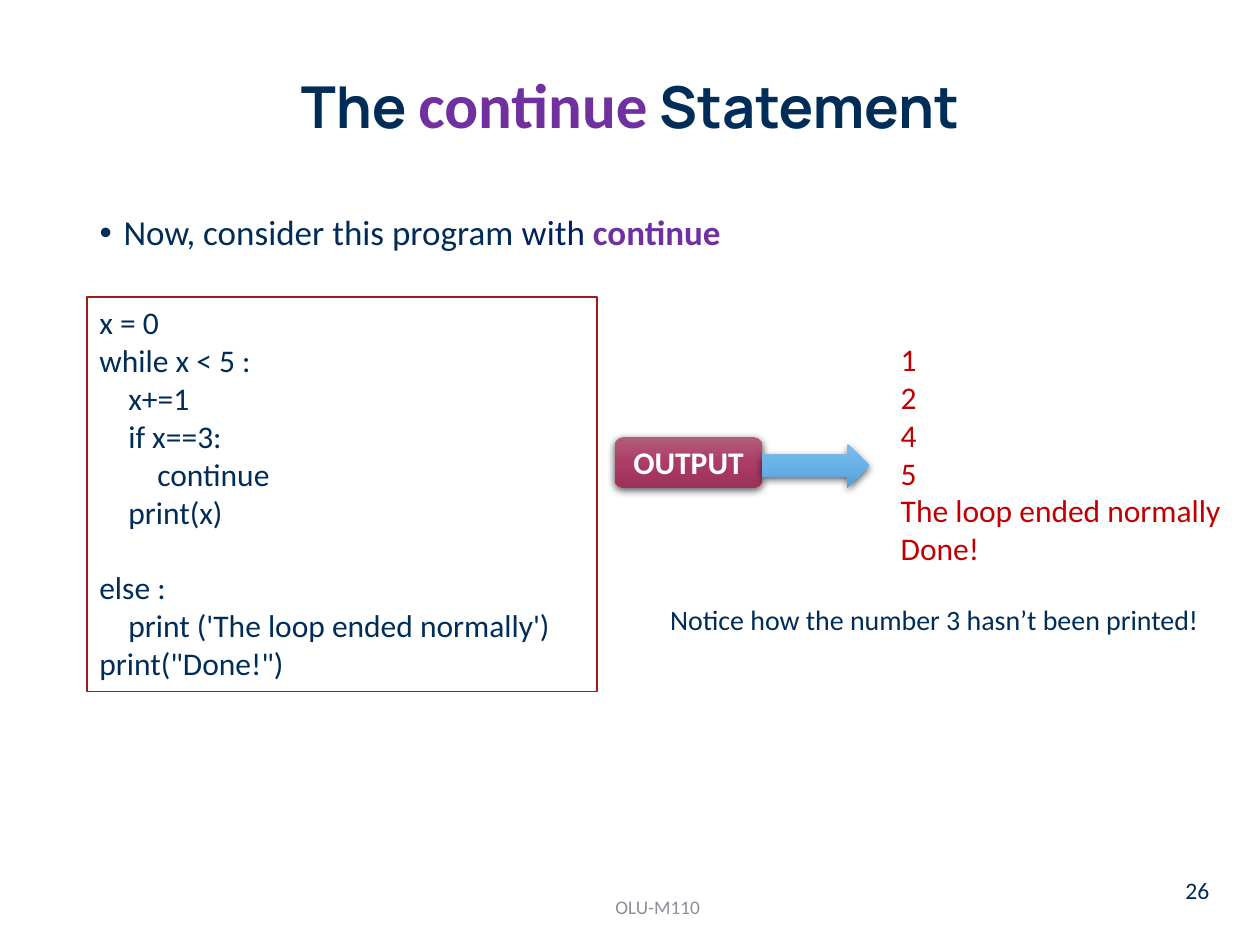
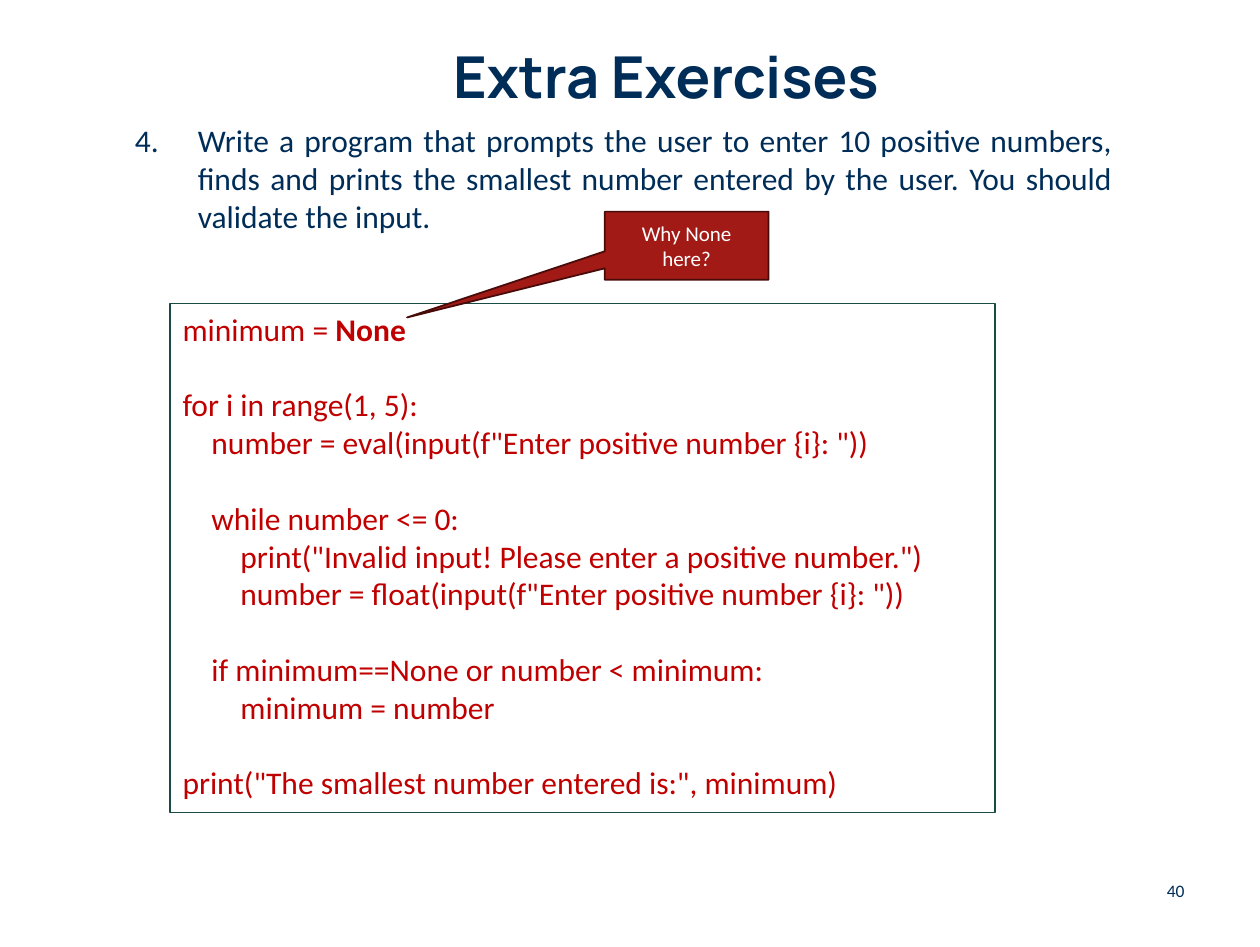
from dataclasses import dataclass

from lxml import etree
from pptx import Presentation
from pptx.dml.color import RGBColor
from pptx.enum import shapes, text
from pptx.oxml.ns import qn
from pptx.util import Emu, Inches, Pt


@dataclass(frozen=True)
class Theme:
    heading_font: str = "Manrope"
    body_font: str = "Calibri"
    white: str = "FFFFFF"
    navy: str = "002D58"
    deep_blue: str = "002060"
    purple: str = "7030A0"
    red: str = "C00000"
    brick: str = "A11A16"
    dark_brick: str = "470B0A"
    green: str = "194C44"
    grey: str = "8C8F9A"
    rose_gradient: tuple = ("B15E79", "AB3C66", "9C3159")
    sky_gradient: tuple = ("80BAE6", "67B2E8", "559FD5")
    title_size: float = 33
    keyword_size: float = 36
    lead_size: float = 20
    code_size: float = 18
    code_line: float = 21.6
    code_indent: float = 0.23
    note_size: float = 16
    callout_size: float = 12
    footer_size: float = 11


THEME = Theme()
ALIGN = text.PP_ALIGN
ANCHOR = text.MSO_ANCHOR
SHAPE = shapes.MSO_SHAPE

CONTINUE_CODE = """\
x = 0
while x < 5 :
    x+=1
    if x==3:
        continue
    print(x)

else :
    print ('The loop ended normally')
print("Done!")"""

MINIMUM_CODE = """\
minimum = **None**

for i in range(1, 5):
    number = eval(input(f"Enter positive number {i}: "))

    while number <= 0:
        print("Invalid input! Please enter a positive number.")
        number = float(input(f"Enter positive number {i}: "))

    if minimum==None or number < minimum:
        minimum = number

print("The smallest number entered is:", minimum)"""


# Text and shape helpers
def write(frame, paragraphs, size=THEME.code_size, color=THEME.navy,
          font=THEME.body_font, bold=False, align=ALIGN.LEFT,
          anchor=ANCHOR.TOP, spacing=1.0, before=0):
    """Fill a frame; a paragraph is a string or a list of (text, overrides)."""
    frame.word_wrap = True
    frame.auto_size = text.MSO_AUTO_SIZE.NONE
    frame.vertical_anchor = anchor
    for i, runs in enumerate(paragraphs):
        para = frame.paragraphs[0] if i == 0 else frame.add_paragraph()
        para.alignment = align
        para.line_spacing = spacing
        para.space_before = Pt(before)
        for words, overrides in ([(runs, {})] if isinstance(runs, str) else runs):
            style = dict(size=size, color=color, font=font, bold=bold) | overrides
            run = para.add_run()
            run.text = words
            run.font.size = Pt(style["size"])
            run.font.name = style["font"]
            run.font.bold = style["bold"]
            run.font.color.rgb = RGBColor.from_string(style["color"])
    return frame.paragraphs


def indent(para, left, hanging=0, bullet=None, **bullet_attributes):
    props = para._p.get_or_add_pPr()
    props.set("marL", str(Inches(left)))
    props.set("indent", str(-Inches(hanging)))
    if bullet:
        etree.SubElement(props, qn(bullet), bullet_attributes)


def place(part, box):
    part.left, part.top, part.width, part.height = map(Inches, box)
    return part


def label(slide, box, paragraphs, **style):
    frame = slide.shapes.add_textbox(*map(Inches, box)).text_frame
    return write(frame, paragraphs, **style)


def block(parent, kind, box, fill=None, line=None):
    shape = parent.shapes.add_shape(kind, *map(Inches, box))
    shape.shadow.inherit = False
    if fill:
        shape.fill.solid()
        shape.fill.fore_color.rgb = RGBColor.from_string(fill)
    if line:
        shape.line.color.rgb = RGBColor.from_string(line)
        shape.line.width = Pt(1)
    else:
        shape.line.fill.background()
    return shape


def glossy(shape, colors):
    """Vertical gradient with a soft shadow below."""
    shape.fill.gradient()
    shape.fill.gradient_angle = 270
    props = shape._element.spPr
    stops = props.find(qn("a:gradFill")).find(qn("a:gsLst"))
    for stop in list(stops):
        stops.remove(stop)
    for i, color in enumerate(colors):
        position = 100000 * i // (len(colors) - 1)
        stop = etree.SubElement(stops, qn("a:gs"), pos=str(position))
        etree.SubElement(stop, qn("a:srgbClr"), val=color)
    shadow = etree.SubElement(
        props.find(qn("a:effectLst")), qn("a:outerShdw"), blurRad=str(Pt(4.5)),
        dist=str(Pt(1.5)), dir="5400000", rotWithShape="0")
    black = etree.SubElement(shadow, qn("a:srgbClr"), val="000000")
    etree.SubElement(black, qn("a:alpha"), val="63000")


# Shared slide parts
def add_titled_slide(deck, box, runs, lift=0):
    slide = deck.slides.add_slide(deck.slide_layouts[1])
    frame = place(slide.shapes.title, box).text_frame
    frame.margin_bottom = Inches(0.05 + lift)
    write(frame, [runs], size=THEME.title_size, font=THEME.heading_font,
          bold=True, align=ALIGN.CENTER, anchor=ANCHOR.MIDDLE, spacing=0.9)
    return slide


def add_list_item(slide, box, runs, **style):
    body = place(slide.placeholders[1], box)
    return write(body.text_frame, [runs], **style)[0]


def add_code(slide, box, code, line, color=THEME.navy):
    """Framed listing: leading blanks become indents, empty lines spacing."""
    rows, levels, gaps, gap = [], [], [], 0
    for row in code.splitlines():
        if not row:
            gap += THEME.code_line
            continue
        words = row.lstrip()
        rows.append([(part, {"bold": i % 2 == 1})
                     for i, part in enumerate(words.split("**")) if part])
        levels.append((len(row) - len(words)) // 4)
        gaps.append(gap)
        gap = 0
    panel = block(slide, SHAPE.RECTANGLE, box, THEME.white, line)
    paragraphs = write(panel.text_frame, rows, color=color)
    for para, level, space in zip(paragraphs, levels, gaps):
        indent(para, level * THEME.code_indent)
        para.space_before = Pt(space)


def add_output_arrow(slide, box):
    left, top, width, height = box
    badge_width = 1.17
    group = slide.shapes.add_group_shape()
    badge = block(group, SHAPE.ROUNDED_RECTANGLE, (left, top, badge_width, height))
    glossy(badge, THEME.rose_gradient)
    write(badge.text_frame, ["OUTPUT"], color=THEME.white, bold=True,
          align=ALIGN.CENTER, anchor=ANCHOR.MIDDLE)
    arrow = block(group, SHAPE.RIGHT_ARROW,
                  (left + badge_width, top + 0.05, width - badge_width, height - 0.05))
    glossy(arrow, THEME.sky_gradient)


def add_callout(slide, box, words, tip):
    callout = block(slide, SHAPE.RECTANGULAR_CALLOUT, box,
                    THEME.brick, THEME.dark_brick)
    left, top, width, height = box
    callout.adjustments[0] = (tip[0] - left) / width - 0.5
    callout.adjustments[1] = (tip[1] - top) / height - 0.5
    write(callout.text_frame, [words], size=THEME.callout_size,
          color=THEME.white, align=ALIGN.CENTER, anchor=ANCHOR.MIDDLE)


# Slides
def continue_slide(deck):
    keyword = {"color": THEME.purple, "bold": True}
    slide = add_titled_slide(
        deck, (0.69, 0.4, 8.62, 1.45),
        [("The ", {}),
         ("continue", keyword | {"font": THEME.body_font, "size": THEME.keyword_size}),
         (" Statement", {})], lift=0.53)
    lead = add_list_item(
        slide, (0.69, 1.66, 6.08, 0.46),
        [("Now, consider this program ", {}),
         ("with ", {"color": THEME.deep_blue}), ("continue", keyword)],
        size=THEME.lead_size, spacing=0.9, before=7.5)
    indent(lead, 0.19, 0.19, "a:buChar", char="•")

    add_code(slide, (0.69, 2.36, 4.05, 3.13), CONTINUE_CODE, THEME.brick)
    add_output_arrow(slide, (4.88, 3.47, 2.02, 0.4))
    label(slide, (7.05, 2.65, 2.95, 1.92),
          ["1", "2", "4", "5", "The loop ended normally", "Done!"], color=THEME.red)
    label(slide, (5.22, 4.76, 4.69, 0.46),
          ["Notice how the number 3 hasn’t been printed!"],
          size=THEME.note_size, spacing=0.9, before=7.5)

    # Footer
    label(slide, (2.37, 7, 5.7, 0.4), ["OLU-M110"], size=THEME.footer_size,
          color=THEME.grey, align=ALIGN.CENTER, anchor=ANCHOR.MIDDLE)
    label(slide, (9.31, 6.9, 0.69, 0.4), ["26"], size=13.5)


def exercise_slide(deck):
    slide = add_titled_slide(deck, (1.07, 0.16, 8.43, 0.95), "Extra Exercises")
    task = add_list_item(
        slide, (0.97, 0.91, 7.96, 1.31),
        "Write a program that prompts the user to enter 10 positive numbers, "
        "finds and prints the smallest number entered by the user. "
        "You should validate the input.", align=ALIGN.JUSTIFY)
    indent(task, 0.5, 0.5, "a:buAutoNum", type="arabicPeriod", startAt="4")

    add_code(slide, (1.35, 2.41, 6.55, 4.04), MINIMUM_CODE, THEME.green, THEME.red)
    add_callout(slide, (4.8, 1.68, 1.3, 0.54), "Why None here?", tip=(3.23, 2.52))

    # Footer
    label(slide, (9.03, 6.87, 0.47, 0.4), ["40"], size=10,
          align=ALIGN.RIGHT, anchor=ANCHOR.MIDDLE)


def main():
    deck = Presentation()
    # Custom page, slightly taller than 4:3
    deck.slide_width, deck.slide_height = Inches(10), Emu(6872288)
    deck.element.find(qn("p:sldSz")).attrib.pop("type", None)
    continue_slide(deck)
    exercise_slide(deck)
    deck.save("out.pptx")


if __name__ == "__main__":
    main()
